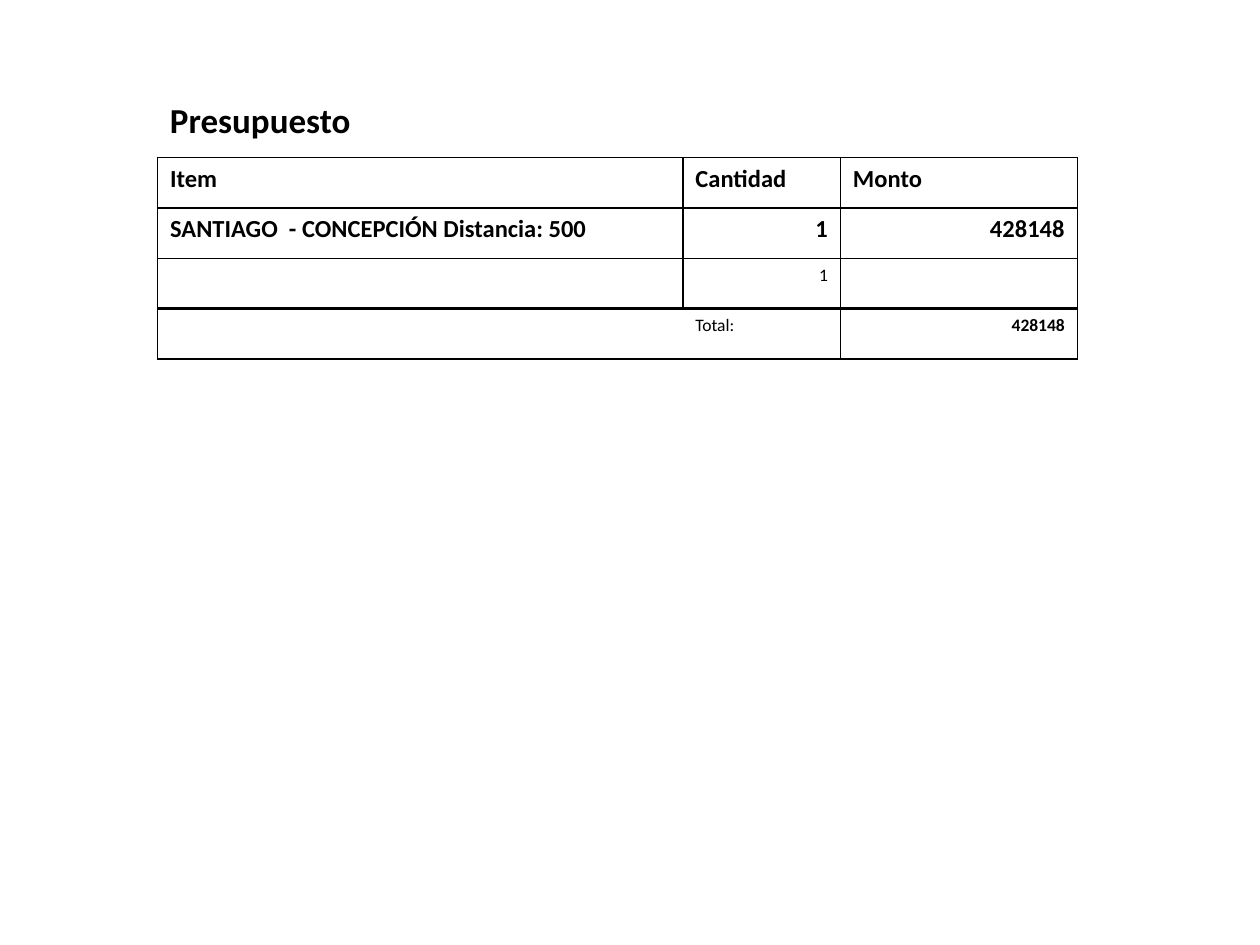
from pptx import Presentation
from pptx.dml.color import RGBColor
from pptx.enum.text import PP_ALIGN
from pptx.oxml import parse_xml
from pptx.oxml.ns import nsdecls
from pptx.util import Inches, Pt

BLACK = RGBColor(0, 0, 0)
WHITE = RGBColor(255, 255, 255)
FONT = "Calibri"

# Content: each cell is (text, size, bold)
TITLE = "Presupuesto"
ROWS = [
    [("Item", 14, True), ("Cantidad", 14, True), ("Monto", 14, True)],
    [("SANTIAGO  - CONCEPCIÓN Distancia: 500", 14, True), ("1", 14, True), ("428148", 14, True)],
    [("", 10, False), ("1", 10, False), ("", 10, False)],
    [("", 10, False), ("Total:", 10, False), ("428148", 10, True)],
]
COLUMN_WIDTHS = [4.17, 1.25, 1.88]
ROW_HEIGHT = 0.4
LEFT = 1.25
TOTAL_ROW = len(ROWS) - 1


def write(paragraph, text, size, bold):
    paragraph.font.size = Pt(size)
    if text:
        span = paragraph.add_run()
        span.text = text
        span.font.name = FONT
        span.font.size = Pt(size)
        span.font.bold = bold
        span.font.color.rgb = BLACK


def set_borders(cell, widths):
    """Draw the four cell edges; a width of 0 leaves an edge open."""
    properties = cell._tc.get_or_add_tcPr()
    for position, (side, width) in enumerate(widths.items()):
        paint = f'<a:solidFill><a:srgbClr val="{BLACK}"/></a:solidFill>' if width else "<a:noFill/>"
        edge = parse_xml(f'<a:ln{side} {nsdecls("a")} w="{Pt(width)}">{paint}</a:ln{side}>')
        properties.insert(position, edge)


deck = Presentation()
deck.slide_width, deck.slide_height = Inches(10), Inches(7.5)
page = deck.slides.add_slide(deck.slide_layouts[6])

# Title
box = page.shapes.add_textbox(Inches(LEFT), Inches(0.73), Inches(6.25), Inches(0.44))
box.text_frame.word_wrap = True
write(box.text_frame.paragraphs[0], TITLE, 20, True)

# Budget table
table = page.shapes.add_table(
    len(ROWS), len(COLUMN_WIDTHS), Inches(LEFT), Inches(1.25),
    Inches(sum(COLUMN_WIDTHS)), Inches(ROW_HEIGHT * len(ROWS))).table
table.first_row = table.horz_banding = False
for column, width in zip(table.columns, COLUMN_WIDTHS):
    column.width = Inches(width)

for row_index, row in enumerate(ROWS):
    table.rows[row_index].height = Inches(ROW_HEIGHT)
    for column_index, (text, size, bold) in enumerate(row):
        cell = table.cell(row_index, column_index)
        paragraph = cell.text_frame.paragraphs[0]
        write(paragraph, text, size, bold)
        if text.isdigit():
            paragraph.alignment = PP_ALIGN.RIGHT
        cell.fill.solid()
        cell.fill.fore_color.rgb = WHITE

        # The total row opens between its first two cells, under a thicker rule
        widths = {"L": 1, "R": 1, "T": 1, "B": 1}
        if row_index == TOTAL_ROW:
            widths["T"] = 2
            if column_index == 0:
                widths["R"] = 0
            elif column_index == 1:
                widths["L"] = 0
        elif row_index == TOTAL_ROW - 1:
            widths["B"] = 2
        set_borders(cell, widths)

deck.save("out.pptx")
